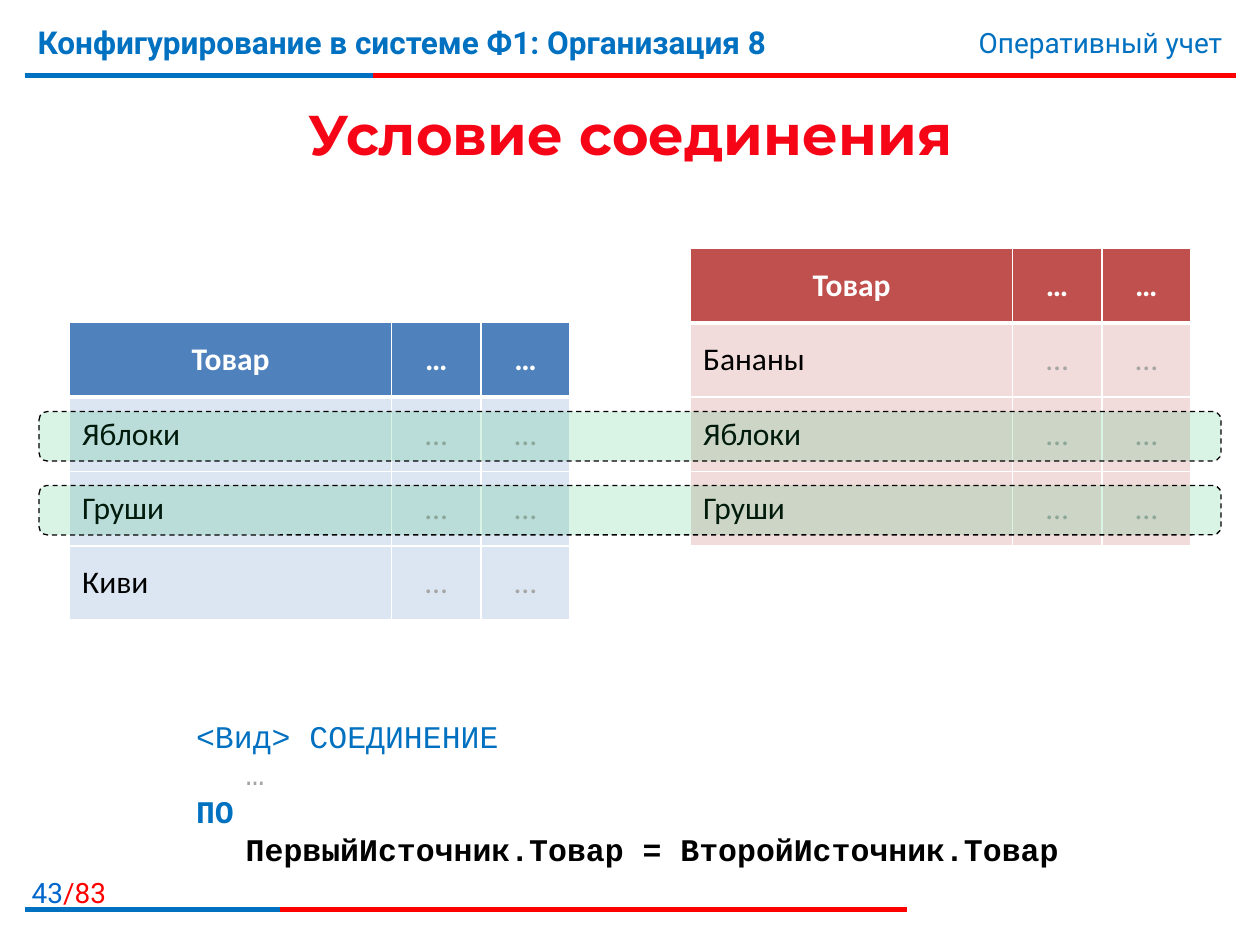
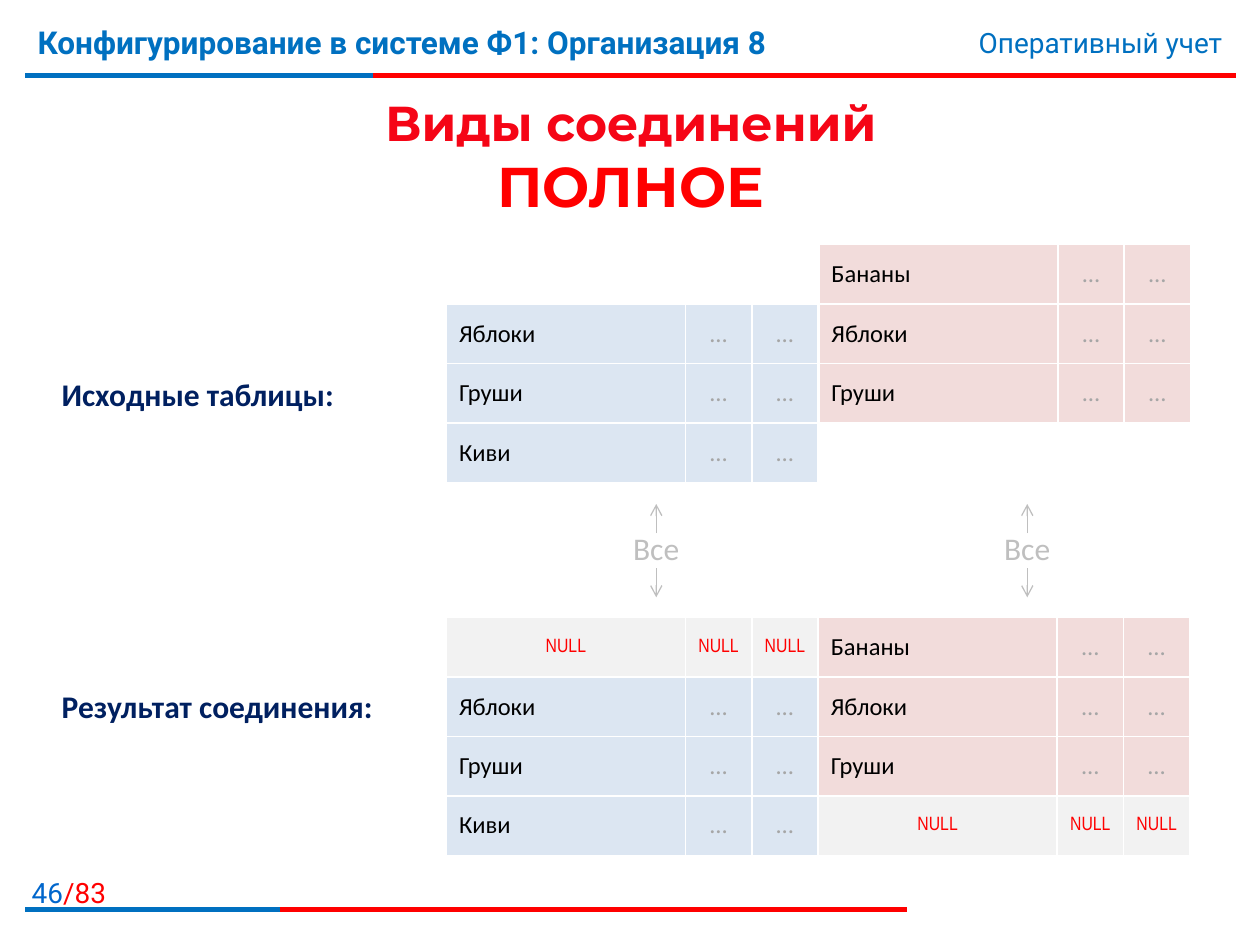
"""Builds two slides about joining tables in queries."""
from dataclasses import dataclass, replace

from lxml.etree import SubElement
from pptx import Presentation
from pptx.dml.color import RGBColor
from pptx.enum.dml import MSO_LINE
from pptx.enum.shapes import MSO_CONNECTOR, MSO_SHAPE
from pptx.enum.text import MSO_ANCHOR, PP_ALIGN
from pptx.oxml import parse_xml
from pptx.oxml.ns import nsdecls, qn
from pptx.slide import Slide
from pptx.table import _Cell
from pptx.text.text import _Paragraph
from pptx.util import Pt

BLUE = RGBColor(0x00, 0x70, 0xC0)
PAGE_BLUE = RGBColor(0x00, 0x66, 0xCC)
RED = RGBColor(0xFF, 0x00, 0x00)
TITLE_RED = RGBColor(0xF5, 0x05, 0x16)
NAVY = RGBColor(0x00, 0x20, 0x60)
GREEN = RGBColor(0x00, 0xB0, 0x50)
BLACK = RGBColor(0x00, 0x00, 0x00)
WHITE = RGBColor(0xFF, 0xFF, 0xFF)
DOTS_GRAY = RGBColor(0xA6, 0xA6, 0xA6)
ARROW_GRAY = RGBColor(0xBF, 0xBF, 0xBF)
NULL_GRAY = RGBColor(0xF2, 0xF2, 0xF2)
FIRST_HEADER = RGBColor(0x4F, 0x81, 0xBD)
FIRST_TINT = RGBColor(0xDC, 0xE6, 0xF2)
SECOND_HEADER = RGBColor(0xC0, 0x50, 0x4D)
SECOND_TINT = RGBColor(0xF2, 0xDC, 0xDB)

PAGE_TOTAL = 83
MARGIN = 14.4
RIGHT_EDGE = 706.3


@dataclass(frozen=True)
class TextRun:
    """A piece of text in one format."""
    text: str
    size: float
    font: str
    color: RGBColor
    bold: bool = False


@dataclass(frozen=True)
class Line:
    """A paragraph with its left indent."""
    runs: tuple[TextRun, ...]
    indent: float = 0


@dataclass(frozen=True)
class TextBox:
    """A text box measured in points."""
    left: float
    top: float
    width: float
    height: float
    lines: tuple[Line, ...]
    alignment: PP_ALIGN = PP_ALIGN.LEFT
    anchor: MSO_ANCHOR = MSO_ANCHOR.TOP
    wrap: bool = True


@dataclass(frozen=True)
class TableCell:
    """A filled table cell."""
    run: TextRun
    fill: RGBColor
    alignment: PP_ALIGN = PP_ALIGN.CENTER


@dataclass(frozen=True)
class GoodsTable:
    """A table whose columns repeat one wide and two narrow."""
    left: float
    top: float
    row_height: float
    wide: float
    narrow: float
    rows: list[list[TableCell]]
    has_header: bool = False


@dataclass(frozen=True)
class Stroke:
    """A straight line measured in points."""
    start: tuple[float, float]
    end: tuple[float, float]
    color: RGBColor
    width: float = 3
    arrow: bool = False


def write_paragraph(paragraph: _Paragraph, runs: tuple[TextRun, ...], alignment: PP_ALIGN) -> None:
    """Fill and format one paragraph."""
    paragraph.text = runs[0].text
    for extra in runs[1:]:
        paragraph.add_run().text = extra.text
    paragraph.alignment = alignment
    for run, style in zip(paragraph.runs, runs):
        run.font.size = Pt(style.size)
        run.font.name = style.font
        run.font.bold = style.bold
        run.font.color.rgb = style.color


def add_text(slide: Slide, box: TextBox) -> None:
    """Draw a text box."""
    shape = slide.shapes.add_textbox(Pt(box.left), Pt(box.top), Pt(box.width), Pt(box.height))
    frame = shape.text_frame
    frame.word_wrap = box.wrap
    frame.vertical_anchor = box.anchor
    for index, line in enumerate(box.lines):
        paragraph = frame.add_paragraph() if index else frame.paragraphs[0]
        write_paragraph(paragraph, line.runs, box.alignment)
        if line.indent:
            paragraph._p.get_or_add_pPr().set("marL", str(Pt(line.indent)))


def add_stroke(slide: Slide, stroke: Stroke) -> None:
    """Draw a line or an arrow."""
    points = [Pt(value) for value in (*stroke.start, *stroke.end)]
    connector = slide.shapes.add_connector(MSO_CONNECTOR.STRAIGHT, *points)
    connector.line.color.rgb = stroke.color
    connector.line.width = Pt(stroke.width)
    if stroke.arrow:
        SubElement(connector.line._get_or_add_ln(), qn("a:tailEnd"), type="arrow")
    SubElement(connector._element.spPr, qn("a:effectLst"))


def set_borders(cell: _Cell, top: float, bottom: float) -> None:
    """Give a cell white borders."""
    widths = {"lnL": 1, "lnR": 1, "lnT": top, "lnB": bottom}
    for index, (tag, width) in enumerate(widths.items()):
        border = parse_xml(
            f'<a:{tag} {nsdecls("a")} w="{Pt(width)}"><a:solidFill>'
            f'<a:srgbClr val="{WHITE}"/></a:solidFill></a:{tag}>'
        )
        cell._tc.get_or_add_tcPr().insert(index, border)


def add_goods_table(slide: Slide, goods: GoodsTable) -> None:
    """Draw a table of goods."""
    widths = [goods.wide, goods.narrow, goods.narrow] * (len(goods.rows[0]) // 3)
    table = slide.shapes.add_table(
        len(goods.rows), len(widths), Pt(goods.left), Pt(goods.top),
        Pt(sum(widths)), Pt(goods.row_height * len(goods.rows)),
    ).table
    table.first_row = goods.has_header
    table.horz_banding = False
    for column, width in zip(table.columns, widths):
        column.width = Pt(width)
    for row_index, row in enumerate(goods.rows):
        table.rows[row_index].height = Pt(goods.row_height)
        top = 3 if goods.has_header and row_index == 1 else 1
        bottom = 3 if goods.has_header and row_index == 0 else 1
        for column_index, content in enumerate(row):
            cell = table.cell(row_index, column_index)
            cell.vertical_anchor = MSO_ANCHOR.MIDDLE
            cell.fill.solid()
            cell.fill.fore_color.rgb = content.fill
            write_paragraph(cell.text_frame.paragraphs[0], (content.run,), content.alignment)
            set_borders(cell, top, bottom)


def header_row(fill: RGBColor) -> list[TableCell]:
    """Return the heading cells."""
    return [TableCell(TextRun(text, 18, "Calibri", WHITE, True), fill) for text in ("Товар", "…", "…")]


def goods_rows(names: tuple[str, ...], fill: RGBColor, size: float) -> list[list[TableCell]]:
    """Return a row of cells for each product."""
    dots = TableCell(TextRun("…", size, "Calibri", DOTS_GRAY), fill)
    return [
        [TableCell(TextRun(name, size, "Calibri", BLACK), fill, PP_ALIGN.LEFT), dots, dots]
        for name in names
    ]


def add_highlight(slide: Slide, top: float) -> None:
    """Draw a translucent band over matching rows."""
    band = slide.shapes.add_shape(MSO_SHAPE.ROUNDED_RECTANGLE, Pt(22.3), Pt(top), Pt(675.4), Pt(28.3))
    band.shadow.inherit = False
    band.fill.solid()
    band.fill.fore_color.rgb = GREEN
    color = band._element.spPr.find(qn("a:solidFill")).find(qn("a:srgbClr"))
    SubElement(color, qn("a:alpha"), val="15000")
    band.line.color.rgb = BLACK
    band.line.width = Pt(0.75)
    band.line.dash_style = MSO_LINE.DASH


def add_all_arrows(slide: Slide, center: float) -> None:
    """Draw a label with arrows pointing up and down."""
    label = Line((TextRun("Все", 18, "Calibri", ARROW_GRAY),))
    add_text(slide, TextBox(center - 20.5, 299, 41, 29, (label,), PP_ALIGN.CENTER, wrap=False))
    for start, end in ((304.6, 288), (324.7, 341.3)):
        add_stroke(slide, Stroke((center, start), (center, end), ARROW_GRAY, 0.75, True))


def add_base_slide(presentation: Presentation, page: int, title: TextBox) -> Slide:
    """Add a slide with header, footer and title."""
    slide = presentation.slides.add_slide(presentation.slide_layouts[6])
    for y, red_end, blue_end in ((43, RIGHT_EDGE, 213.1), (519.8, 518.4, 159.8)):
        add_stroke(slide, Stroke((MARGIN, y), (red_end, y), RED))
        add_stroke(slide, Stroke((MARGIN, y), (blue_end, y), BLUE))
    number = Line((
        TextRun(str(page), 16, "Roboto", PAGE_BLUE),
        TextRun(f"/{PAGE_TOTAL}", 16, "Roboto", RED),
    ))
    course = Line((TextRun("Конфигурирование в системе Ф1: Организация 8", 18, "Roboto", BLUE, True),))
    topic = Line((TextRun("Оперативный учет", 16, "Roboto", BLUE),))
    add_text(slide, TextBox(-7.2, 496.8, 74.9, 23, (number,), PP_ALIGN.RIGHT))
    add_text(slide, TextBox(MARGIN, 9.4, 532.8, 44.6, (course,)))
    add_text(slide, TextBox(427.7, 10.8, 277.9, 26.6, (topic,), PP_ALIGN.RIGHT))
    add_text(slide, replace(title, alignment=PP_ALIGN.CENTER, anchor=MSO_ANCHOR.MIDDLE))
    return slide


def title_line(text: str, size: float, color: RGBColor = TITLE_RED) -> Line:
    """Return a line in the title style."""
    return Line((TextRun(text, size, "Montserrat", color, True),))


def code_line(text: str, color: RGBColor, bold: bool = False, indent: float = 0) -> Line:
    """Return a line of query code."""
    return Line((TextRun(text, 18, "Courier New", color, bold),), indent)


def add_condition_slide(presentation: Presentation, first: tuple[str, ...], second: tuple[str, ...]) -> None:
    """Show the join condition."""
    title = TextBox(MARGIN, 41.8, 692, 69, (title_line("Условие соединения", 32),))
    slide = add_base_slide(presentation, 43, title)
    for left, top, header, tint, names in (
        (39.8, 184.4, FIRST_HEADER, FIRST_TINT, first),
        (394.6, 142, SECOND_HEADER, SECOND_TINT, second),
    ):
        rows = [header_row(header)] + goods_rows(names, tint, 18)
        add_goods_table(slide, GoodsTable(left, top, 42.5, 184, 51, rows, True))
    code = (
        code_line("<Вид> СОЕДИНЕНИЕ", BLUE),
        code_line("…", DOTS_GRAY, indent=28.35),
        code_line("ПО", BLUE, True),
        code_line("ПервыйИсточник.Товар = ВторойИсточник.Товар", BLACK, True, 28.35),
    )
    add_text(slide, TextBox(105, 406, 510, 94.5, code, wrap=False))
    for top in (235.2, 277.4):
        add_highlight(slide, top)


def add_full_join_slide(presentation: Presentation, first: tuple[str, ...], second: tuple[str, ...]) -> None:
    """Show the full join and its result."""
    lines = (title_line("Виды соединений", 28), title_line("ПОЛНОЕ", 32, RED))
    slide = add_base_slide(presentation, 46, TextBox(MARGIN, 43.9, 692, 90, lines))
    first_rows = goods_rows(first, FIRST_TINT, 14)
    second_rows = goods_rows(second, SECOND_TINT, 14)
    null_row = [TableCell(TextRun("NULL", 11, "Arial Narrow", RED), NULL_GRAY)] * 3
    result = [left + right for left, right in zip([null_row] + first_rows, second_rows + [null_row])]
    for left, top, rows in ((255.1, 173.8, first_rows), (467.9, 139.8, second_rows), (255.1, 352.8, result)):
        add_goods_table(slide, GoodsTable(left, top, 34, 136.6, 37.95, rows))
    for top, width, text in ((210.5, 171.4, "Исходные таблицы:"), (389, 193.7, "Результат соединения:")):
        label = Line((TextRun(text, 18, "Calibri", NAVY, True),))
        add_text(slide, TextBox(28.1, top, width, 29, (label,), wrap=False))
    for center in (587, 375):
        add_all_arrows(slide, center)


def main() -> None:
    """Build and save the presentation."""
    presentation = Presentation()
    presentation.slide_width = Pt(720)
    presentation.slide_height = Pt(540)
    first = ("Яблоки", "Груши", "Киви")
    second = ("Бананы", "Яблоки", "Груши")
    add_condition_slide(presentation, first, second)
    add_full_join_slide(presentation, first, second)
    presentation.save("out.pptx")


if __name__ == "__main__":
    main()
